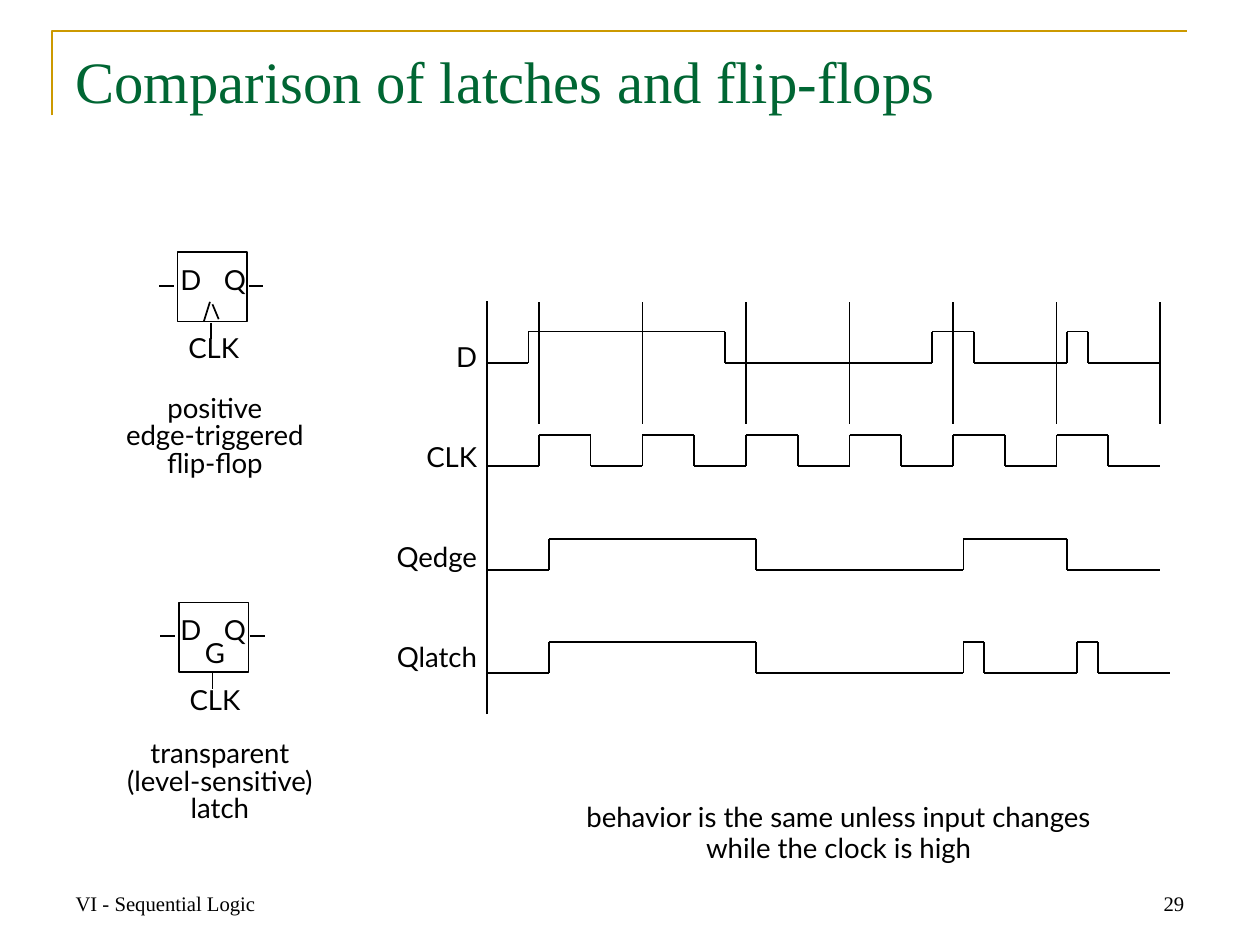
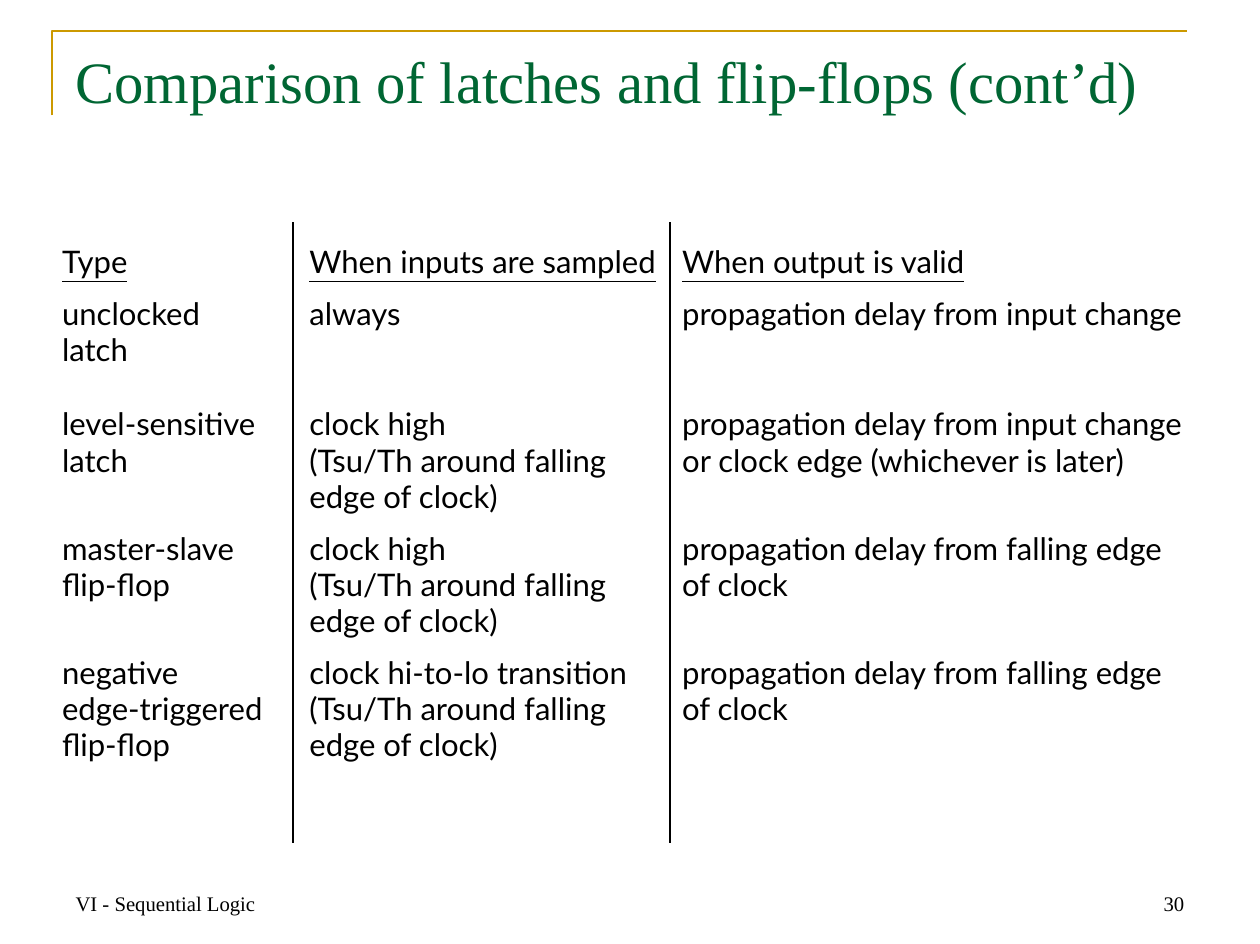
from itertools import pairwise
from pptx import Presentation
from pptx.dml.color import RGBColor
from pptx.enum.shapes import MSO_CONNECTOR as CONN, MSO_SHAPE as SHAPE
from pptx.enum.text import MSO_ANCHOR as ANCHOR, PP_ALIGN as ALIGN
from pptx.oxml.ns import qn
from pptx.util import Inches, Pt
from lxml.etree import SubElement

# Shared look
SERIF, SANS = "Times New Roman", "Lato"
BLACK, WHITE, GREEN, GOLD = "000000", "FFFFFF", "006633", "CC9900"
FOOTER = "VI - Sequential Logic"
WIDE, TIGHT = (0.1, 0.05), (0.02, 0.03)

# Slide 1: symbols, with the places of their labels and captions
LABEL_X = 1.41
SYMBOLS = [
    dict(x=1.43, y=2.03, edge=True, clk_y=2.71, caption_x=0.8, caption_y=3.16,
         caption="positive\nedge-triggered\nflip-flop"),
    dict(x=1.44, y=4.85, edge=False, clk_y=5.54, caption_x=0.84, caption_y=5.94,
         caption="transparent\n(level-sensitive)\nlatch"),
]
# Signals: ticks at which the level toggles, then the last tick
SIGNALS = [
    ("D", [4, 23, 43, 47, 56, 58], 65),
    ("CLK", list(range(5, 65, 5)), 65),
    ("Qedge", [6, 26, 46, 56], 65),
    ("Qlatch", [6, 26, 46, 48, 57, 59], 66),
]
TICK, WAVE_X, WAVE_Y, WAVE_STEP, WAVE_H = 1 / 12, 3.92, 2.92, 2.5 / 3, 0.25
REMARK = ["behavior is the same unless input changes", "while the clock is high"]

# Slide 2: gap above the row in points, then its cells
LATER = "(Tsu/Th around falling\nedge of clock)"
FALLING = "propagation delay from falling edge\nof clock"
ROWS = [
    (12.5, ["Type", "When inputs are sampled", "When output is valid"]),
    (9, ["unclocked\nlatch", "always", "propagation delay from input change"]),
    (22, ["level-sensitive\nlatch", "clock high\n" + LATER,
          "propagation delay from input change\nor clock edge (whichever is later)"]),
    (9, ["master-slave\nflip-flop", "clock high\n" + LATER, FALLING]),
    (9, ["negative\nedge-triggered\nflip-flop",
         "clock hi-to-lo transition\n" + LATER, FALLING]),
]
COLUMNS = [(1.88, 0.02), (3.03, 0.13), (4.38, 0.1)]  # width, left margin
TABLE_X, TABLE_Y, TABLE_H, LEADING = 0.48, 1.79, 5.0, 21
PLAIN_STYLE = "{2D5ABB26-0587-4C30-8999-92F81FD0307C}"


def color(value):
    return RGBColor.from_string(value)


def set_all(obj, **values):
    for name, value in values.items():
        setattr(obj, name, value)


def fill_paragraph(p, content, size, font, ink=BLACK, underline=None, **fmt):
    p.text = content
    set_all(p, **fmt)
    for r in p.runs:
        set_all(r.font, size=Pt(size), name=font, underline=underline)
        r.font.color.rgb = color(ink)


def add_text(s, box, paras, size=16, font=SANS, ink=BLACK, inset=TIGHT,
             wrap=False, anchor=ANCHOR.TOP, tab=None, **fmt):
    tf = s.shapes.add_textbox(*map(Inches, box)).text_frame
    dx, dy = map(Inches, inset)
    set_all(tf, word_wrap=wrap, vertical_anchor=anchor, margin_left=dx,
            margin_right=dx, margin_top=dy, margin_bottom=dy)
    for i, content in enumerate(paras):
        p = tf.add_paragraph() if i else tf.paragraphs[0]
        fill_paragraph(p, content, size, font, ink, **fmt)
        if tab:
            tabs = SubElement(p._p.get_or_add_pPr(), qn("a:tabLst"))
            SubElement(tabs, qn("a:tab"), pos=str(Inches(tab)), algn="l")


def add_line(s, x1, y1, x2, y2):
    line = s.shapes.add_connector(CONN.STRAIGHT, *map(Inches, (x1, y1, x2, y2)))
    line.line.color.rgb = color(BLACK)
    line.line.width = Pt(1)
    SubElement(line._element.spPr, qn("a:effectLst"))


def add_frame(s):
    points = [(Inches(x), Inches(y))
              for x, y in ((0.42, 0.93), (0.42, 0.25), (9.55, 0.25))]
    builder = s.shapes.build_freeform(*points[0])
    builder.add_line_segments(points[1:], close=False)
    sp = builder.convert_to_shape()
    sp.shadow.inherit = False
    sp.fill.background()
    sp.line.color.rgb = color(GOLD)
    sp.line.width = Pt(1.5)


def new_slide(prs, title, number):
    s = prs.slides.add_slide(prs.slide_layouts[6])
    add_frame(s)
    serif = dict(font=SERIF, inset=WIDE, wrap=True)
    add_text(s, (0.51, 0.31, 9.12, 1.26), [title], 34, ink=GREEN, **serif)
    for x, content, side in ((0.51, FOOTER, ALIGN.LEFT), (7.26, number, ALIGN.RIGHT)):
        add_text(s, (x, 6.91, 2.37, 0.51), [content], 12, anchor=ANCHOR.BOTTOM,
                 alignment=side, **serif)
    return s


def add_symbol(s, x, y, edge, clk_y, caption_x, caption_y, caption):
    sp = s.shapes.add_shape(SHAPE.RECTANGLE, *map(Inches, (x, y, 0.56, 0.56)))
    sp.shadow.inherit = False
    sp.fill.solid()
    sp.fill.fore_color.rgb = color(WHITE)
    sp.line.color.rgb = color(BLACK)
    sp.line.width = Pt(1)
    # Pins: D, Q, clock
    pins = [(-0.15, 0.27, -0.03, 0.27), (0.57, 0.27, 0.69, 0.27),
            (0.27, 0.57, 0.27, 0.7)]
    if edge:
        pins += [(0.21, 0.56, 0.26, 0.4), (0.28, 0.42, 0.33, 0.54)]
    for x1, y1, x2, y2 in pins:
        add_line(s, x + x1, y + y1, x + x2, y + y2)
    # Labels
    label = dict(alignment=ALIGN.CENTER, line_spacing=Pt(13.9))
    add_text(s, (LABEL_X, y + 0.13, 0.61, 0.33), ["D\tQ"], tab=0.35, **label)
    if not edge:
        add_text(s, (x + 0.01, y + 0.31, 0.56, 0.33), ["G"], **label)
    add_text(s, (x - 0.14, clk_y, 0.86, 0.36), ["CLK"], **label)
    add_text(s, (caption_x, caption_y, 1.86, 0.83), [caption],
             alignment=ALIGN.CENTER, line_spacing=Pt(16))


def add_waveforms(s):
    add_line(s, WAVE_X, 5.75, WAVE_X, 2.42)
    for tick in range(5, 66, 10):
        x = WAVE_X + tick * TICK
        add_line(s, x, 3.41, x, 2.43)
    add_text(s, (2.86, 2.57, 1, 2.96), [name for name, _, _ in SIGNALS],
             alignment=ALIGN.RIGHT, line_spacing=Pt(29), space_after=Pt(29))
    for i, (_, toggles, end) in enumerate(SIGNALS):
        low = WAVE_Y + i * WAVE_STEP
        levels = (low, low - WAVE_H)
        points = [(WAVE_X, low)]
        for n, tick in enumerate(toggles):
            x = WAVE_X + tick * TICK
            points += [(x, levels[n % 2]), (x, levels[(n + 1) % 2])]
        points.append((WAVE_X + end * TICK, levels[len(toggles) % 2]))
        for start, stop in pairwise(points):
            add_line(s, *start, *stop)


def add_comparison(s):
    width = sum(w for w, _ in COLUMNS)
    frame = s.shapes.add_table(len(ROWS), len(COLUMNS), *map(
        Inches, (TABLE_X, TABLE_Y, width, TABLE_H)))
    table = frame.table
    set_all(table, first_row=False, horz_banding=False)
    table._tbl.tblPr.find(qn("a:tableStyleId")).text = PLAIN_STYLE
    for col, (w, _) in zip(table.columns, COLUMNS):
        col.width = Inches(w)
    left = Inches(TABLE_H)
    for i, (gap, cells) in enumerate(ROWS):
        lines = max(content.count("\n") + 1 for content in cells)
        last = i == len(ROWS) - 1
        table.rows[i].height = left if last else Pt(gap + lines * LEADING)
        left -= table.rows[i].height
        for j, content in enumerate(cells):
            cell = table.cell(i, j)
            set_all(cell, margin_left=Inches(COLUMNS[j][1]), margin_right=0,
                    margin_top=Pt(gap), margin_bottom=0, vertical_anchor=ANCHOR.TOP)
            cell.fill.background()
            fill_paragraph(cell.text_frame.paragraphs[0], content, 18, SANS,
                           underline=i == 0, line_spacing=Pt(LEADING))
    # Column separators
    x = TABLE_X
    for w, _ in COLUMNS[:-1]:
        x += w
        add_line(s, x, TABLE_Y, x, TABLE_Y + TABLE_H)


def main():
    prs = Presentation()
    set_all(prs, slide_width=Inches(10.14), slide_height=Inches(7.6))

    s = new_slide(prs, "Comparison of latches and flip-flops", "29")
    for symbol in SYMBOLS:
        add_symbol(s, **symbol)
    add_waveforms(s)
    add_text(s, (3.91, 6.43, 5.68, 0.64), REMARK, alignment=ALIGN.CENTER,
             line_spacing=Pt(18))

    s = new_slide(prs, "Comparison of latches and flip-flops (cont’d)", "30")
    add_comparison(s)
    prs.save("out.pptx")


if __name__ == "__main__":
    main()
